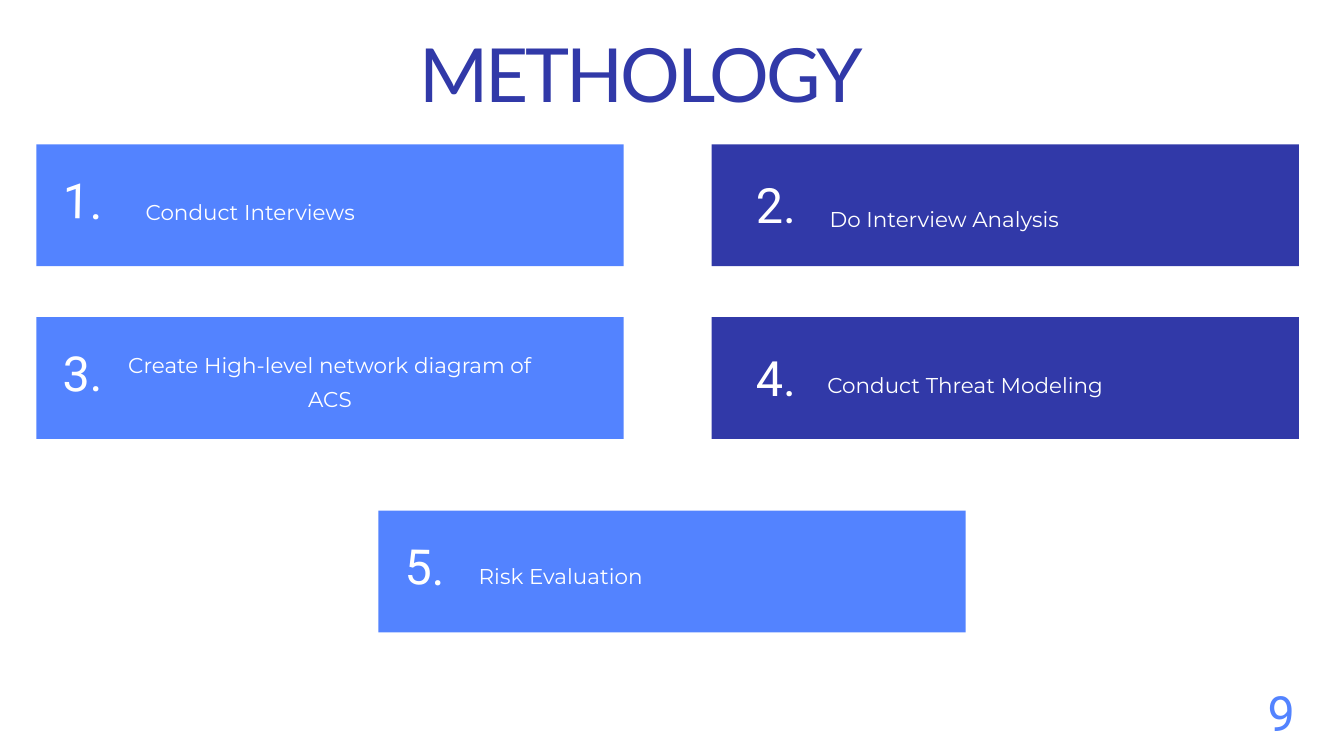
from dataclasses import dataclass

from pptx import Presentation
from pptx.dml.color import RGBColor
from pptx.enum.shapes import MSO_SHAPE
from pptx.enum.text import MSO_ANCHOR, MSO_AUTO_SIZE, PP_ALIGN
from pptx.util import Inches, Pt


@dataclass(frozen=True)
class Style:
    """Type size and line pitch in points, with font and colour."""
    font: str
    size: float
    pitch: float
    color: RGBColor


class Theme:
    light = RGBColor(0x53, 0x83, 0xFF)
    dark = RGBColor(0x31, 0x39, 0xA8)
    white = RGBColor(0xFF, 0xFF, 0xFF)
    title = Style("Lato", 80, 80, dark)
    number = Style("Roboto", 52.1, 53.6, white)
    label = Style("Montserrat", 23, 35.9, white)
    page = Style("Roboto", 52, 72.8, light)


CARD_W, CARD_H = 8.74, 1.81
LEFT, RIGHT, MIDDLE = 0.54, 10.59, 5.63
ROWS = 2.15, 4.72, 7.6

# text, card left, card top, fill, number box, label box (both relative to card)
NUM_LIGHT = 0.19, 0.51, 1, 0.81
NUM_DARK = 0.33, 0.58, 1.25, 0.81
STEPS = [
    ("Conduct Interviews", LEFT, ROWS[0], Theme.light,
     NUM_LIGHT, (1.08, 0.7, 4.21, 0.44)),
    ("Do Interview Analysis", RIGHT, ROWS[0], Theme.dark,
     NUM_DARK, (1.37, 0.8, 4.19, 0.44)),
    ("Create High-level network diagram of ACS", LEFT, ROWS[1], Theme.light,
     NUM_LIGHT, (1.04, 0.41, 6.66, 0.93)),
    ("Conduct Threat Modeling", RIGHT, ROWS[1], Theme.dark,
     NUM_DARK, (1.4, 0.7, 4.75, 0.44)),
    ("Risk Evaluation", MIDDLE, ROWS[2], Theme.light,
     NUM_LIGHT, (1.2, 0.66, 3.03, 0.44)),
]


def write(shape, text, style):
    """Set one centred line of text, without margins, and return its run."""
    frame = shape.text_frame
    frame.word_wrap = True
    frame.auto_size = MSO_AUTO_SIZE.NONE
    frame.vertical_anchor = MSO_ANCHOR.TOP
    frame.margin_left = frame.margin_right = 0
    frame.margin_top = frame.margin_bottom = 0
    para = frame.paragraphs[0]
    para.alignment = PP_ALIGN.CENTER
    para.line_spacing = Pt(style.pitch)
    para.space_before = Pt(0)
    run = para.add_run()
    run.text = text
    run.font.name = style.font
    run.font.size = Pt(style.size)
    run.font.color.rgb = style.color
    return run


def add_title(slide, text):
    title = slide.shapes.title
    title.left, title.top = Inches(2.25), Inches(0.63)
    title.width, title.height = Inches(14.59), Inches(1.16)
    run = write(title, text, Theme.title)
    run.font._element.set("spc", "-340")


def add_text(slide, text, box, style):
    shape = slide.shapes.add_textbox(*map(Inches, box))
    write(shape, text, style)
    return shape


def add_card(slide, left, top, fill):
    card = slide.shapes.add_shape(
        MSO_SHAPE.RECTANGLE, *map(Inches, (left, top, CARD_W, CARD_H)))
    card.shadow.inherit = False
    card.fill.solid()
    card.fill.fore_color.rgb = fill
    card.line.fill.background()


def add_step(slide, count, text, left, top, fill, num_box, label_box):
    def place(box):
        return left + box[0], top + box[1], box[2], box[3]

    add_card(slide, left, top, fill)
    number = add_text(slide, f"{count}.", place(num_box), Theme.number)
    if fill == Theme.light:
        number.rotation = 1
    add_text(slide, text, place(label_box), Theme.label)


def main():
    deck = Presentation()
    deck.slide_width, deck.slide_height = Inches(20), Inches(11.25)
    slide = deck.slides.add_slide(deck.slide_layouts[5])
    add_title(slide, "METHOLOGY")
    for count, step in enumerate(STEPS, 1):
        add_step(slide, count, *step)
    add_text(slide, "9", (18.83, 10.02, 0.47, 0.97), Theme.page)
    deck.save("out.pptx")


if __name__ == "__main__":
    main()
